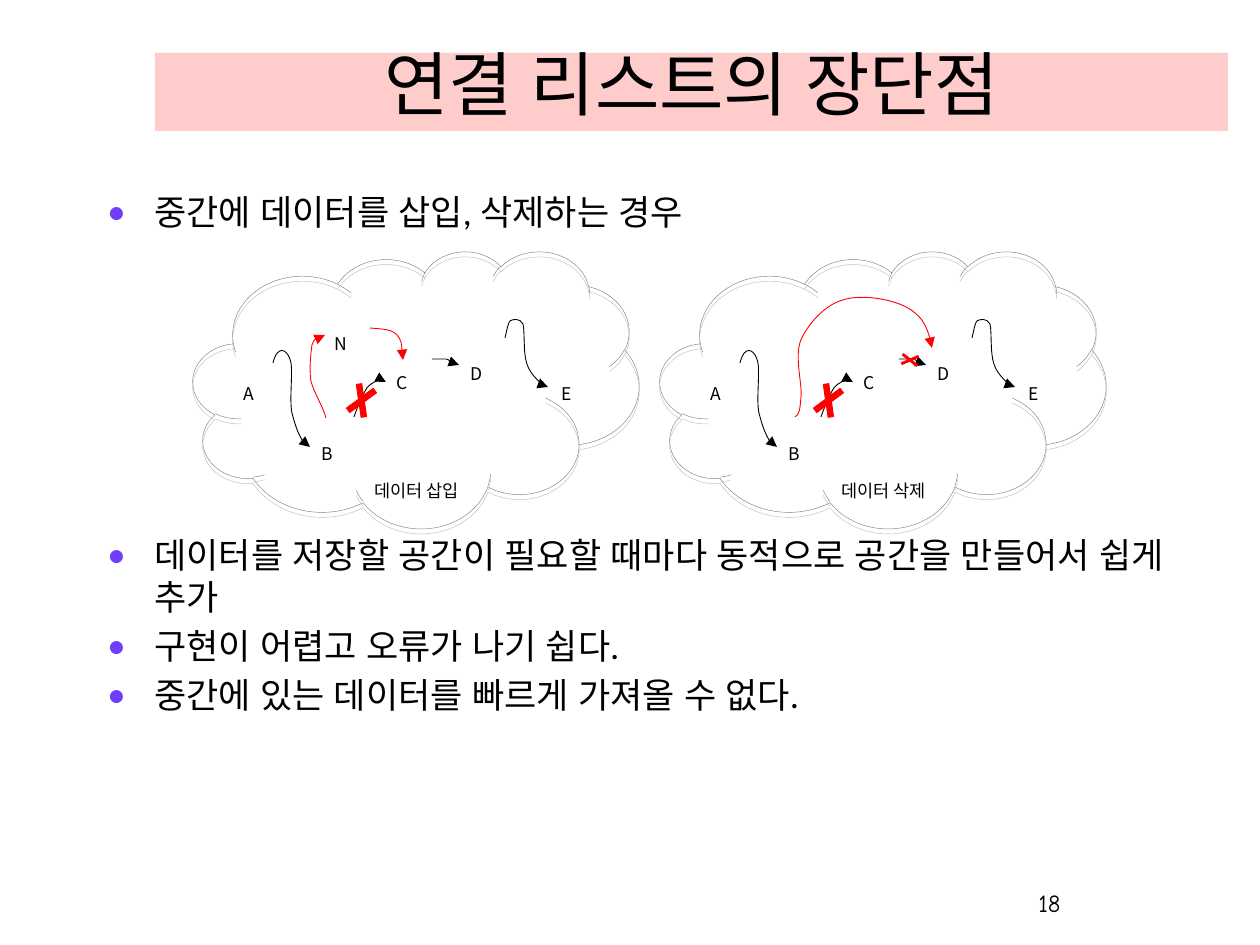
from lxml import etree
from pptx import Presentation
from pptx.dml.color import RGBColor
from pptx.enum.shapes import MSO_SHAPE
from pptx.enum.text import MSO_ANCHOR, PP_ALIGN
from pptx.oxml.ns import qn
from pptx.util import Pt

PX = 914400 / 126
LEFT, CENTER, RIGHT = PP_ALIGN.LEFT, PP_ALIGN.CENTER, PP_ALIGN.RIGHT
TOP, BOTTOM = MSO_ANCHOR.TOP, MSO_ANCHOR.BOTTOM
RECT, CLOUD, CROSS = MSO_SHAPE.RECTANGLE, MSO_SHAPE.CLOUD, MSO_SHAPE.MATH_MULTIPLY

COLORS = {
    "text": "000000",
    "banner": "FFCCCC",
    "bullet": "703DFF",
    "cloud": "808080",
    "echo": "BFBFBF",
    "change": "FF0000",
}
TITLE_FONT, BODY_FONT, LABEL_FONT = "Comic Neue", "Lato", "Noto Sans CJK KR"

# Each diagram is laid out at the left cloud and shifted for the right one
DIAGRAM_SHIFT = 467
NODES = {"A": (231, 377), "B": (309, 437), "C": (384, 366),
         "D": (458, 357), "E": (549, 377)}

# Curves: a start point, then rows of two control points and an end point
LINKS = [
    [(273, 363),  # A to B
     (278, 344, 287, 350, 290, 359),
     (294, 368, 289, 398, 292, 413),
     (296, 428, 304, 449, 310, 447)],
    [(354, 417),  # B to C
     (358, 406, 362, 396, 367, 388),
     (372, 382, 382, 379, 386, 378),
     (388, 377, 387, 379, 386, 382)],
    [(432, 359),  # C to D
     (437, 359, 444, 359, 446, 359),
     (450, 360, 450, 363, 452, 364),
     (454, 365, 456, 365, 459, 365)],
    [(505, 338),  # D to E
     (507, 330, 508, 323, 510, 321),
     (513, 319, 520, 318, 523, 324),
     (525, 331, 523, 353, 527, 364),
     (530, 374, 542, 384, 546, 388),
     (549, 392, 549, 389, 548, 387)],
]
INSERT_LINKS = [
    [(326, 418),  # B to N
     (323, 406, 314, 393, 311, 381),
     (309, 369, 311, 353, 312, 345),
     (315, 338, 320, 336, 325, 335)],
    [(370, 328),  # N to C
     (381, 329, 391, 329, 396, 334),
     (402, 340, 402, 350, 403, 360)],
]
DELETE_LINKS = [
    [(328, 417),  # B to D
     (332, 415, 333, 411, 334, 398),
     (336, 386, 327, 357, 334, 340),
     (341, 324, 358, 305, 376, 300),
     (394, 294, 424, 299, 439, 307),
     (454, 315, 462, 329, 465, 348)],
]
BULLETS = [
    ("중간에 데이터를 삽입, 삭제하는 경우", 0),
    ("데이터를 저장할 공간이 필요할 때마다 동적으로 공간을 만들어서 쉽게 추가", 172),
    ("구현이 어렵고 오류가 나기 쉽다.", 4),
    ("중간에 있는 데이터를 빠르게 가져올 수 없다.", 4),
]


def emu(px):
    return round(px * PX)


def rgb(name):
    return RGBColor.from_string(COLORS[name])


def extent(values):
    """Lowest and highest value that a chain of cubic curves reaches."""
    reached = []
    for i in range(0, len(values) - 1, 3):
        a, b, c, d = values[i:i + 4]
        for t in (k / 20 for k in range(21)):
            u = 1 - t
            reached.append(a * u**3 + 3 * b * u * u * t + 3 * c * u * t * t + d * t**3)
    return min(reached), max(reached)


class Deck:
    def __init__(self, prs):
        self.slide = prs.slides.add_slide(prs.slide_layouts[6])
        self.shapes = self.slide.shapes

    def style_text(self, p, font, size, align=LEFT, asian=None):
        p.alignment = align
        p.font.name, p.font.size = font, Pt(size)
        p.font.color.rgb = rgb("text")
        props = p._p.pPr.find(qn("a:defRPr"))
        etree.SubElement(props, qn("a:ea")).set("typeface", asian or font)

    def paint(self, sp, fill=None, line=None, weight=0.25):
        sp.shadow.inherit = False
        if fill:
            sp.fill.solid()
            sp.fill.fore_color.rgb = rgb(fill)
        else:
            sp.fill.background()
        if line:
            sp.line.color.rgb = rgb(line)
            sp.line.width = Pt(weight)
        else:
            sp.line.fill.background()

    def shape(self, kind, box, **look):
        sp = self.shapes.add_shape(kind, *map(emu, box))
        self.paint(sp, **look)
        return sp

    def text(self, text, box, font, size, align=LEFT):
        tf = self.shapes.add_textbox(*map(emu, box)).text_frame
        tf.word_wrap, tf.vertical_anchor = True, TOP
        p = tf.paragraphs[0]
        p.text = text
        self.style_text(p, font, size, align)

    def title(self, text, box):
        tf = self.shape(RECT, box, fill="banner").text_frame
        tf.word_wrap, tf.vertical_anchor = True, BOTTOM
        p = tf.paragraphs[0]
        p.text = text
        self.style_text(p, TITLE_FONT, 40, CENTER, BODY_FONT)

    def bullets(self, items, box, indent=48):
        tf = self.shapes.add_textbox(*map(emu, box)).text_frame
        tf.word_wrap = True
        for i, (text, gap) in enumerate(items):
            p = tf.add_paragraph() if i else tf.paragraphs[0]
            p.text = text
            p_pr = p._p.get_or_add_pPr()
            p_pr.set("marL", str(emu(indent)))
            p_pr.set("indent", str(-emu(indent)))
            color = etree.SubElement(p_pr, qn("a:buClr"))
            etree.SubElement(color, qn("a:srgbClr")).set("val", COLORS["bullet"])
            etree.SubElement(p_pr, qn("a:buFont")).set("typeface", BODY_FONT)
            etree.SubElement(p_pr, qn("a:buChar")).set("char", "•")
            p.space_before = Pt(gap)
            self.style_text(p, BODY_FONT, 20)

    def arrow(self, curve, dx, color):
        flat = [n for row in curve for n in row]
        xs, ys = flat[::2], flat[1::2]
        (x0, x1), (y0, y1) = extent(xs), extent(ys)
        builder = self.shapes.build_freeform(emu(x0), emu(y0))
        builder.add_line_segments([(emu(x1), emu(y1))], close=False)
        sp = builder.convert_to_shape(emu(dx), 0)
        # Turn the outline of the bounds into cubic curves
        outline = next(sp._element.iter(qn("a:path")))
        for child in list(outline):
            outline.remove(child)
        points = [(emu(x - x0), emu(y - y0)) for x, y in zip(xs, ys)]
        for i, (x, y) in enumerate(points):
            if i == 0:
                step = etree.SubElement(outline, qn("a:moveTo"))
            elif i % 3 == 1:
                step = etree.SubElement(outline, qn("a:cubicBezTo"))
            pt = etree.SubElement(step, qn("a:pt"))
            pt.set("x", str(x))
            pt.set("y", str(y))
        self.paint(sp, line=color, weight=0.5)
        etree.SubElement(sp.line._get_or_add_ln(), qn("a:tailEnd")).set("type", "triangle")

    def cross(self, box, angle, thickness):
        sp = self.shape(CROSS, box, fill="change", line="change", weight=0.5)
        sp.adjustments[0] = thickness
        sp.rotation = angle

    def node(self, name, x, y):
        self.text(name, (x, y, 26, 34), LABEL_FONT, 10, CENTER)

    def diagram(self, caption, dx, new_links):
        for y, color in ((251, "cloud"), (256, "echo")):
            self.shape(CLOUD, (193 + dx, y, 446, 277), line=color)
        self.text(caption, (362 + dx, 474, 144, 34), LABEL_FONT, 10)
        for name, (x, y) in NODES.items():
            self.node(name, x + dx, y)
        for links, color in ((LINKS, "text"), (new_links, "change")):
            for curve in links:
                self.arrow(curve, dx, color)
        self.cross((345 + dx, 373, 33, 55), 22.6, 0.17)


def main():
    prs = Presentation()
    prs.slide_width, prs.slide_height = emu(1260), emu(945)
    deck = Deck(prs)

    # Title and points
    deck.title("연결 리스트의 장단점", (155, 53, 1073, 78))
    deck.bullets(BULLETS, (94, 184, 1132, 572))

    # Insertion
    deck.diagram("데이터 삽입", 0, INSERT_LINKS)
    deck.node("N", 322, 327)

    # Deletion
    deck.diagram("데이터 삭제", DIAGRAM_SHIFT, DELETE_LINKS)
    deck.cross((901, 345, 18, 30), 97.5, 0.11)

    # Slide number
    deck.text("18", (811, 882, 262, 63), TITLE_FONT, 14, RIGHT)

    prs.save("out.pptx")


if __name__ == "__main__":
    main()
